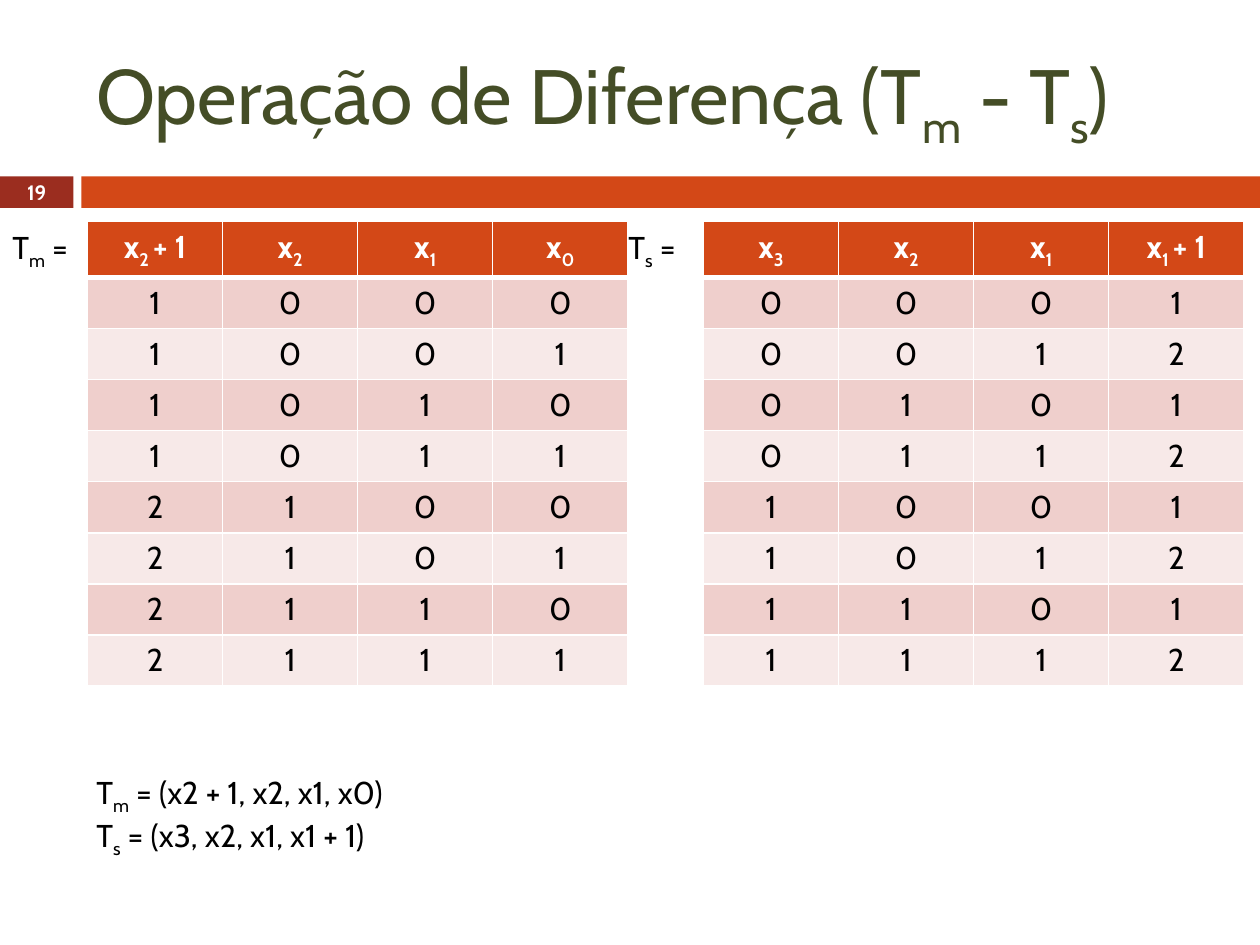
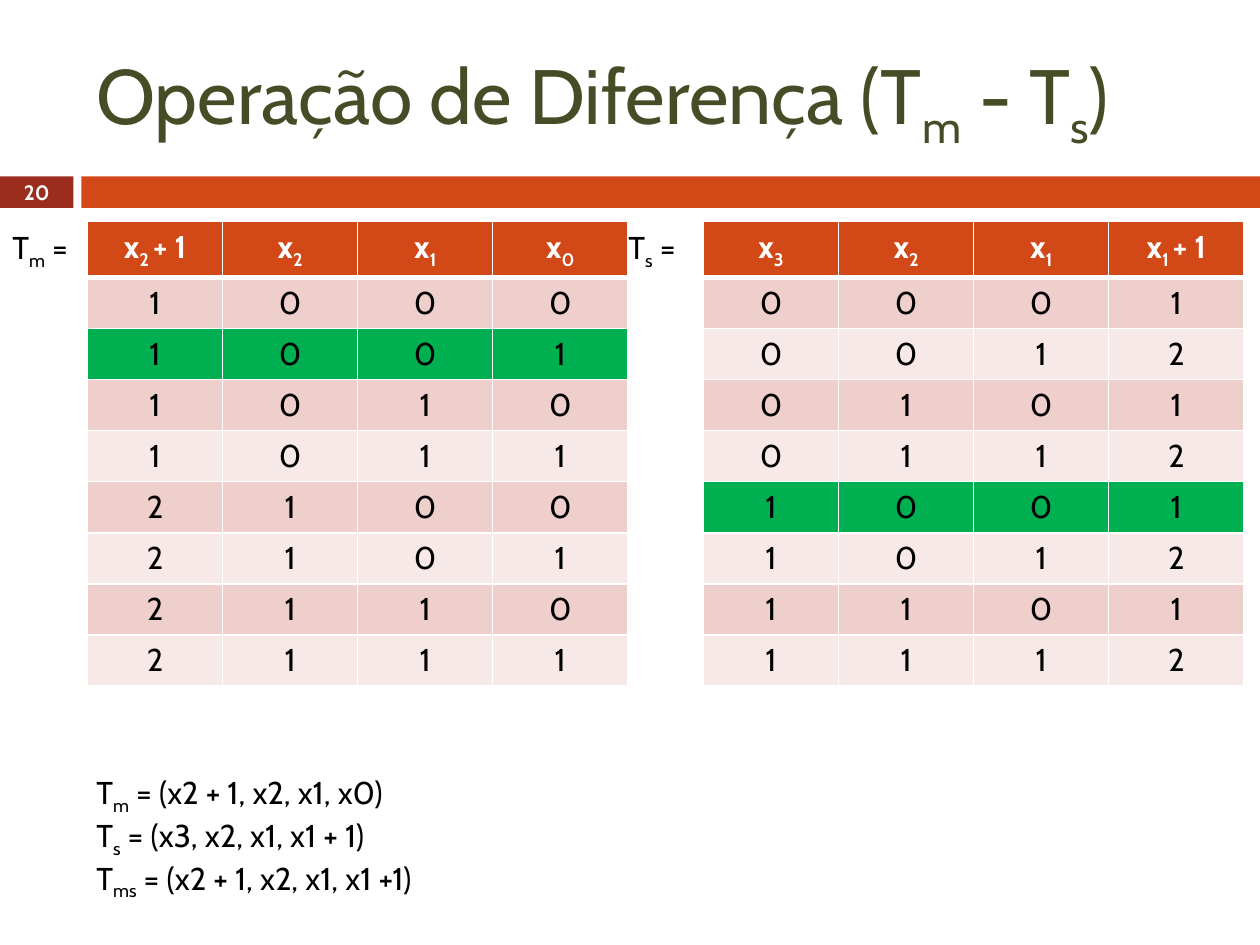
"""Build two slides on the difference of two bit tables."""
from itertools import product

from lxml.etree import SubElement
from pptx import Presentation
from pptx.dml.color import RGBColor
from pptx.enum.shapes import MSO_SHAPE
from pptx.enum.text import MSO_ANCHOR, MSO_AUTO_SIZE, PP_ALIGN
from pptx.oxml.ns import qn
from pptx.util import Pt

FONT = "Cabin"
OLIVE, ORANGE, BRICK = "444D26", "D34817", "9B2D1F"
WHITE, BLACK, GREEN = "FFFFFF", "000000", "00B050"
STRIPES = ("EFCFCC", "F7E9E8")

TITLE = "Operação de Diferença (T~m~ - T~s~)"
BITS = list(product((0, 1), repeat=3))
MINUEND_HEADS = ("x~2 ~+ 1", "x~2~", "x~1~", "x~0~")
MINUEND_ROWS = [(x2 + 1, x2, x1, x0) for x2, x1, x0 in BITS]
SUBTRAHEND_HEADS = ("x~3~", "x~2~", "x~1~", "x~1 ~+ 1")
SUBTRAHEND_ROWS = [(x3, x2, x1, x1 + 1) for x3, x2, x1 in BITS]
ORDERS = ["T~m~ = (x2 + 1, x2, x1, x0)", "T~s~ = (x3, x2, x1, x1 + 1)"]
RESULT_ORDER = "T~ms~ = (x2 + 1, x2, x1, x1 +1)"

TABLE_TOP = 126.7
COLUMN_WIDTH, ROW_HEIGHT = 77.2, 29.2


def paint(color_format, color):
    """Set a fill or font colour from a hex string."""
    color_format.rgb = RGBColor.from_string(color)


def fill_solid(item, color):
    """Give a shape or cell a plain fill."""
    item.fill.solid()
    paint(item.fill.fore_color, color)


def write_text(frame, text, size=18, color=BLACK, bold=False, align=PP_ALIGN.LEFT):
    """Write lines of text, with the parts between tildes as subscripts."""
    for line_index, line in enumerate(text.split("\n")):
        para = frame.add_paragraph() if line_index else frame.paragraphs[0]
        para.alignment = align
        for part_index, part in enumerate(line.split("~")):
            if not part:
                continue
            span = para.add_run()
            span.text = part
            span.font.name = FONT
            span.font.size = Pt(size)
            span.font.bold = bold
            paint(span.font.color, color)
            if part_index % 2:
                span.font._element.set("baseline", "-25000")


def add_text(page, place, text, wrap=True, anchor=MSO_ANCHOR.MIDDLE, **text_format):
    """Add a text box at left, top, width, height."""
    frame = page.shapes.add_textbox(*map(Pt, place)).text_frame
    frame.word_wrap = wrap
    frame.vertical_anchor = anchor
    write_text(frame, text, **text_format)
    return frame


def add_label(page, place, text):
    """Add an unwrapped text box that grows with its text."""
    frame = add_text(page, place, text, wrap=False, anchor=MSO_ANCHOR.TOP)
    frame.auto_size = MSO_AUTO_SIZE.SHAPE_TO_FIT_TEXT


def add_band(page, left, width, color):
    """Add one part of the band under the title."""
    band = page.shapes.add_shape(
        MSO_SHAPE.RECTANGLE, Pt(left), Pt(100.8), Pt(width), Pt(18))
    band.shadow.inherit = False
    fill_solid(band, color)
    band.line.fill.background()


def set_borders(cell, **widths):
    """Draw white borders of the given widths, in points."""
    properties = cell._tc.get_or_add_tcPr()
    for index, side in enumerate("LRTB"):
        line = SubElement(properties, qn(f"a:ln{side}"), w=str(Pt(widths.get(side, 1))))
        fill = SubElement(line, qn("a:solidFill"))
        SubElement(fill, qn("a:srgbClr"), val=WHITE)
        properties.insert(index, line)


def add_bit_table(page, left, heads, rows, marked=None):
    """Add a striped table, with one body row marked in green if given."""
    grid = [heads, *rows]
    table = page.shapes.add_table(
        len(grid), len(heads), Pt(left), Pt(TABLE_TOP),
        Pt(COLUMN_WIDTH * len(heads)), Pt(ROW_HEIGHT * len(grid))).table
    for column in table.columns:
        column.width = Pt(COLUMN_WIDTH)
    for row_index, values in enumerate(grid):
        table.rows[row_index].height = Pt(ROW_HEIGHT)
        is_head = row_index == 0
        fill = GREEN if row_index == marked else STRIPES[(row_index - 1) % 2]
        for column_index, value in enumerate(values):
            cell = table.cell(row_index, column_index)
            fill_solid(cell, ORANGE if is_head else fill)
            set_borders(cell, B=3 if is_head else 1, T=3 if row_index == 1 else 1)
            write_text(cell.text_frame, str(value), bold=is_head,
                       color=WHITE if is_head else BLACK, align=PP_ALIGN.CENTER)


def add_page(deck, number, orders, orders_height, marked_minuend=None,
             marked_subtrahend=None):
    """Add a slide with both tables and the variable orders below."""
    page = deck.slides.add_slide(deck.slide_layouts[6])
    add_band(page, 0, 42, BRICK)
    add_band(page, 46.5, 673.5, ORANGE)
    add_text(page, (48, 18, 642, 78), TITLE, size=44, color=OLIVE)
    add_text(page, (0, 100, 42, 19.5), str(number), size=11.9, color=WHITE,
             bold=True, align=PP_ALIGN.CENTER)
    add_bit_table(page, 50, MINUEND_HEADS, MINUEND_ROWS, marked_minuend)
    add_label(page, (0, TABLE_TOP, 46.5, 29), "T~m~ =")
    add_bit_table(page, 402, SUBTRAHEND_HEADS, SUBTRAHEND_ROWS, marked_subtrahend)
    add_label(page, (352, TABLE_TOP, 42.5, 29), "T~s~ =")
    orders_width = 197 if len(orders) == 2 else 235
    add_label(page, (48, 438, orders_width, orders_height), "\n".join(orders))


def main():
    """Build and save the deck."""
    deck = Presentation()
    deck.slide_width, deck.slide_height = Pt(720), Pt(540)
    add_page(deck, 19, ORDERS, 51)
    add_page(deck, 20, [*ORDERS, RESULT_ORDER], 94, marked_minuend=2,
             marked_subtrahend=5)
    deck.save("out.pptx")


if __name__ == "__main__":
    main()
